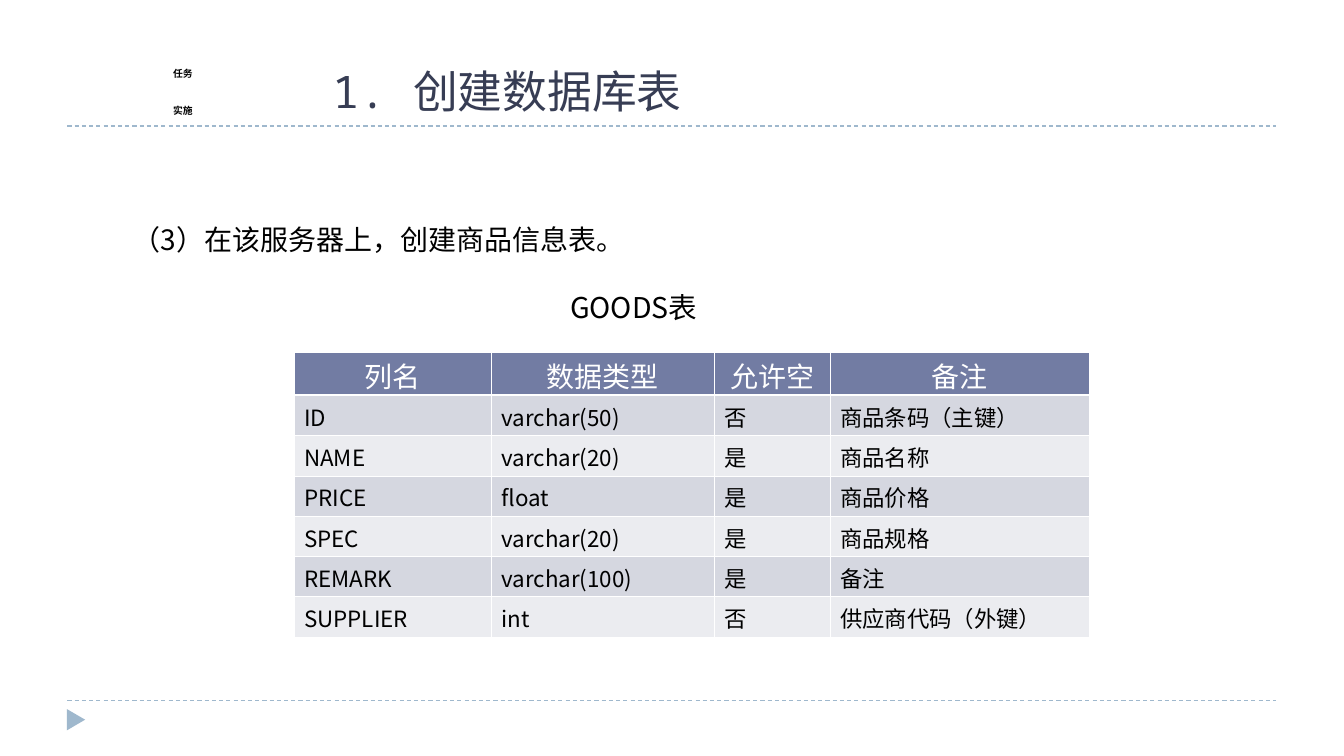
from dataclasses import dataclass
from lxml.etree import SubElement
from pptx import Presentation
from pptx.dml.color import RGBColor
from pptx.enum.dml import MSO_LINE
from pptx.enum.shapes import MSO_CONNECTOR, MSO_SHAPE
from pptx.enum.text import MSO_ANCHOR, PP_ALIGN
from pptx.oxml.ns import qn
from pptx.util import Inches, Pt


@dataclass(frozen=True)
class Theme:
    ink: str = "000000"
    title: str = "373D54"
    rule: str = "9FB8CD"
    head: str = "727CA3"
    odd: str = "D5D7E0"
    even: str = "EBECF0"
    white: str = "FFFFFF"
    sans: str = "Noto Sans CJK SC"
    mono: str = "Noto Sans Mono"
    tag: str = "Noto Sans CJK JP"
    big: float = 32
    lead: float = 20
    name: float = 20.4
    cell: float = 16
    tiny: float = 7
    thin: float = 0.45
    thick: float = 1.47


class Page:
    def __init__(self, slide, theme):
        self.shapes = slide.shapes
        self.theme = theme

    def style(self, para, size, color, face, bold=False):
        for run in para.runs:
            font = run.font
            font.size = Pt(size)
            font.bold = bold
            font.name = face
            font.color.rgb = RGBColor.from_string(color)
            SubElement(font._element, qn("a:ea")).set("typeface", face)

    def rule(self, y):
        line = self.shapes.add_connector(
            MSO_CONNECTOR.STRAIGHT, Inches(0.67), Inches(y), Inches(12.67), Inches(y))
        line.line.color.rgb = RGBColor.from_string(self.theme.rule)
        line.line.width = Pt(0.75)
        line.line.dash_style = MSO_LINE.DASH
        SubElement(line._element.spPr, qn("a:effectLst"))

    def arrow(self, x, y, w, h):
        mark = self.shapes.add_shape(
            MSO_SHAPE.ISOSCELES_TRIANGLE, Inches(x), Inches(y), Inches(w), Inches(h))
        mark.rotation = 90
        mark.shadow.inherit = False
        mark.fill.solid()
        mark.fill.fore_color.rgb = RGBColor.from_string(self.theme.rule)
        mark.line.fill.background()

    def text(self, area, words, size, color, face, space=1.0, bold=False,
             anchor=MSO_ANCHOR.TOP):
        box = self.shapes.add_textbox(*map(Inches, area))
        frame = box.text_frame
        frame.word_wrap = True
        frame.vertical_anchor = anchor
        frame.text = words
        for para in frame.paragraphs:
            para.line_spacing = space
            self.style(para, size, color, face, bold)

    def edge(self, cell, side, width):
        line = SubElement(cell._tc.get_or_add_tcPr(), qn("a:" + side), w=str(Pt(width)))
        fill = SubElement(line, qn("a:solidFill"))
        SubElement(fill, qn("a:srgbClr"), val=self.theme.white)

    def table(self, x, y, widths, rows):
        theme = self.theme
        highs = [0.43] + [0.4] * (len(rows) - 1)
        grid = self.shapes.add_table(
            len(rows), len(widths), Inches(x), Inches(y),
            Inches(sum(widths)), Inches(sum(highs))).table
        for col, width in zip(grid.columns, widths):
            col.width = Inches(width)
        for r, (row, high) in enumerate(zip(rows, highs)):
            grid.rows[r].height = Inches(high)
            top = r == 0
            fill = theme.head if top else theme.odd if r % 2 else theme.even
            for c, words in enumerate(row):
                cell = grid.cell(r, c)
                cell.margin_top = Inches(0.03 if top else 0.05)
                cell.margin_bottom = Inches(0 if top else 0.02)
                for side in ("lnL", "lnR", "lnT", "lnB"):
                    heavy = (r, side) in ((0, "lnB"), (1, "lnT"))
                    self.edge(cell, side, theme.thick if heavy else theme.thin)
                cell.fill.solid()
                cell.fill.fore_color.rgb = RGBColor.from_string(fill)
                cell.text_frame.text = words
                para = cell.text_frame.paragraphs[0]
                para.alignment = PP_ALIGN.CENTER if top else PP_ALIGN.LEFT
                self.style(para, theme.lead if top else theme.cell,
                           theme.white if top else theme.ink, theme.sans)


GOODS = [
    ("列名", "数据类型", "允许空", "备注"),
    ("ID", "varchar(50)", "否", "商品条码（主键）"),
    ("NAME", "varchar(20)", "是", "商品名称"),
    ("PRICE", "float", "是", "商品价格"),
    ("SPEC", "varchar(20)", "是", "商品规格"),
    ("REMARK", "varchar(100)", "是", "备注"),
    ("SUPPLIER", "int", "否", "供应商代码（外键）"),
]


def main():
    deck = Presentation()
    deck.slide_width = Inches(13.34)
    deck.slide_height = Inches(7.5)
    theme = Theme()
    page = Page(deck.slides.add_slide(deck.slide_layouts[6]), theme)
    for y in (6.95, 1.25):
        page.rule(y)
    page.arrow(0.65, 7.05, 0.21, 0.18)
    page.text((3.2, 0.58, 4.88, 0.64), "1. 创建数据库表",
              theme.big, theme.title, theme.mono)
    page.text((1.22, 2.05, 11.15, 1.12), "（3）在该服务器上，创建商品信息表。",
              theme.lead, theme.ink, theme.sans, Pt(32))
    page.table(2.92, 3.49, (1.96, 2.21, 1.15, 2.57), GOODS)
    page.text((5.56, 2.87, 2.79, 0.47), "GOODS表",
              theme.name, theme.ink, theme.sans, 0.9)
    page.text((1.62, 0.55, 1.46, 0.65), "任务\n实施", theme.tiny, theme.ink,
              theme.tag, Pt(26), True, MSO_ANCHOR.BOTTOM)
    deck.save("out.pptx")


if __name__ == "__main__":
    main()
